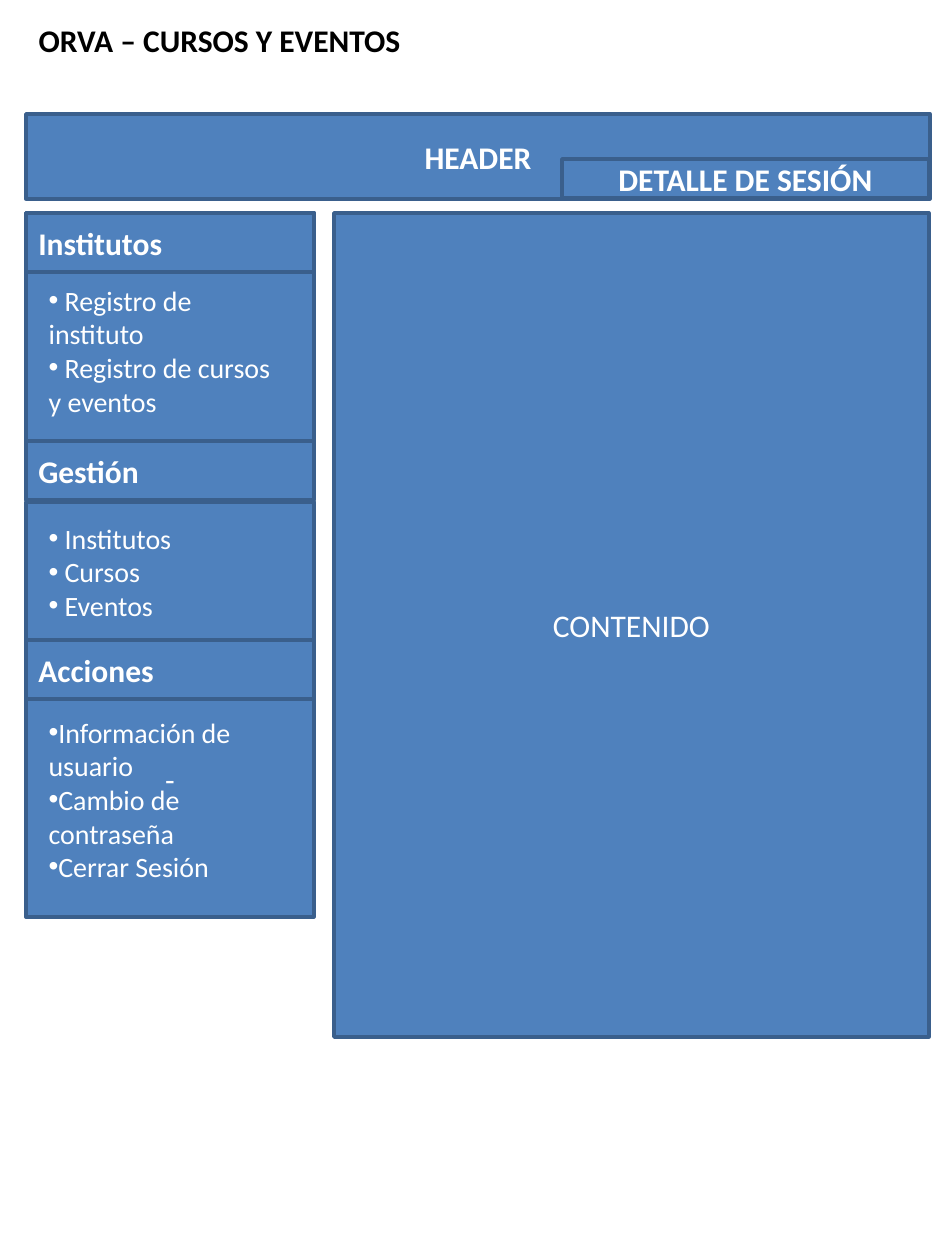
import pptx
import pptx.dml.color
import pptx.enum.shapes
import pptx.enum.text
import pptx.oxml.ns
import pptx.util
import lxml.etree
from dataclasses import dataclass

ALIGN = pptx.enum.text.PP_ALIGN
ANCHOR = pptx.enum.text.MSO_ANCHOR
AUTOSIZE = pptx.enum.text.MSO_AUTO_SIZE


@dataclass
class Theme:
    font: str = "Calibri"
    fill: str = "4F81BD"
    border: str = "3A5F8C"
    dark: str = "000000"
    light: str = "FFFFFF"
    heading_size: int = 18
    list_size: int = 16
    border_width: int = 2


class Wireframe:
    SCALE = 914400 / 126  # EMU per pixel

    def __init__(self, slide, theme):
        self.slide = slide
        self.theme = theme

    def emu(self, box):
        return [pptx.util.Emu(round(length * self.SCALE)) for length in box]

    def color(self, name):
        return pptx.dml.color.RGBColor.from_string(name)

    def set_text(self, frame, text, size, color, bold=False, align=ALIGN.LEFT):
        frame.text = text
        for paragraph in frame.paragraphs:
            paragraph.alignment = align
            paragraph.space_before = pptx.util.Pt(0)
            for run in paragraph.runs:
                run.font.name = self.theme.font
                run.font.size = pptx.util.Pt(size)
                run.font.bold = bold
                run.font.color.rgb = self.color(color)

    def place(self, placeholder, box):
        """Move a placeholder in front of everything drawn so far."""
        placeholder.left, placeholder.top, placeholder.width, placeholder.height = self.emu(box)
        self.slide.shapes._spTree.append(placeholder._element)
        frame = placeholder.text_frame
        frame.vertical_anchor = ANCHOR.TOP
        frame.auto_size = AUTOSIZE.SHAPE_TO_FIT_TEXT
        return frame

    def title(self, text, box):
        frame = self.place(self.slide.shapes.title, box)
        frame.word_wrap = False
        self.set_text(frame, text, self.theme.heading_size, self.theme.dark, bold=True)

    def block(self, box, text="", bold=True, align=ALIGN.CENTER):
        block = self.slide.shapes.add_shape(
            pptx.enum.shapes.MSO_SHAPE.RECTANGLE, *self.emu(box))
        block.shadow.inherit = False
        block.fill.solid()
        block.fill.fore_color.rgb = self.color(self.theme.fill)
        block.line.color.rgb = self.color(self.theme.border)
        block.line.width = pptx.util.Pt(self.theme.border_width)
        block.text_frame.vertical_anchor = ANCHOR.MIDDLE
        if text:
            self.set_text(block.text_frame, text, self.theme.heading_size,
                          self.theme.light, bold, align)

    def bullets(self, index, items, box):
        frame = self.place(self.slide.placeholders[index], box)
        frame.word_wrap = True
        self.set_text(frame, "\n".join(items), self.theme.list_size, self.theme.light)
        for paragraph in frame.paragraphs:
            properties = paragraph._p.get_or_add_pPr()
            properties.set("marL", "0")
            properties.set("indent", "0")
            for tag, key, value in (("a:buFont", "typeface", "Arial"), ("a:buChar", "char", "•")):
                lxml.etree.SubElement(properties, pptx.oxml.ns.qn(tag)).set(key, value)


deck = pptx.Presentation()
deck.slide_width = pptx.util.Inches(7.5)
deck.slide_height = pptx.util.Inches(10)
COMPARISON_LAYOUT = 4
slide = deck.slides.add_slide(deck.slide_layouts[COMPARISON_LAYOUT])
page = Wireframe(slide, Theme())

# Title and header band
page.title("ORVA – CURSOS Y EVENTOS", (26, 15, 389, 50))
page.block((26, 114, 904, 85), "HEADER")
page.block((562, 159, 367, 39), "DETALLE DE SESIÓN")

# Side menu: heading, heading top, panel top and height, panel text, list top and height, items
MENU_LEFT, MENU_WIDTH, HEADING_HEIGHT = 26, 288, 59
LIST_LEFT, LIST_WIDTH = 36, 258
menu = [
    ("Institutos", 213, (213, 228), "", (277, 149),
     [" Registro de instituto", " Registro de cursos y eventos"]),
    ("Gestión", 441, (502, 217), "", (515, 115),
     [" Institutos", " Cursos", " Eventos"]),
    ("Acciones", 640, (640, 277), "-", (709, 183),
     ["Información de usuario", "Cambio de contraseña", "Cerrar Sesión"]),
]
for index, (heading, heading_top, panel, mark, listing, items) in enumerate(menu, start=1):
    page.block((MENU_LEFT, panel[0], MENU_WIDTH, panel[1]), mark, bold=False)
    page.block((MENU_LEFT, heading_top, MENU_WIDTH, HEADING_HEIGHT), heading, align=ALIGN.LEFT)
    page.bullets(index, items, (LIST_LEFT, listing[0], LIST_WIDTH, listing[1]))

# Content area
page.block((334, 213, 595, 824), "CONTENIDO", bold=False)

# The layout's fourth body is not needed
spare = slide.placeholders[4]._element
spare.getparent().remove(spare)

deck.save("out.pptx")
